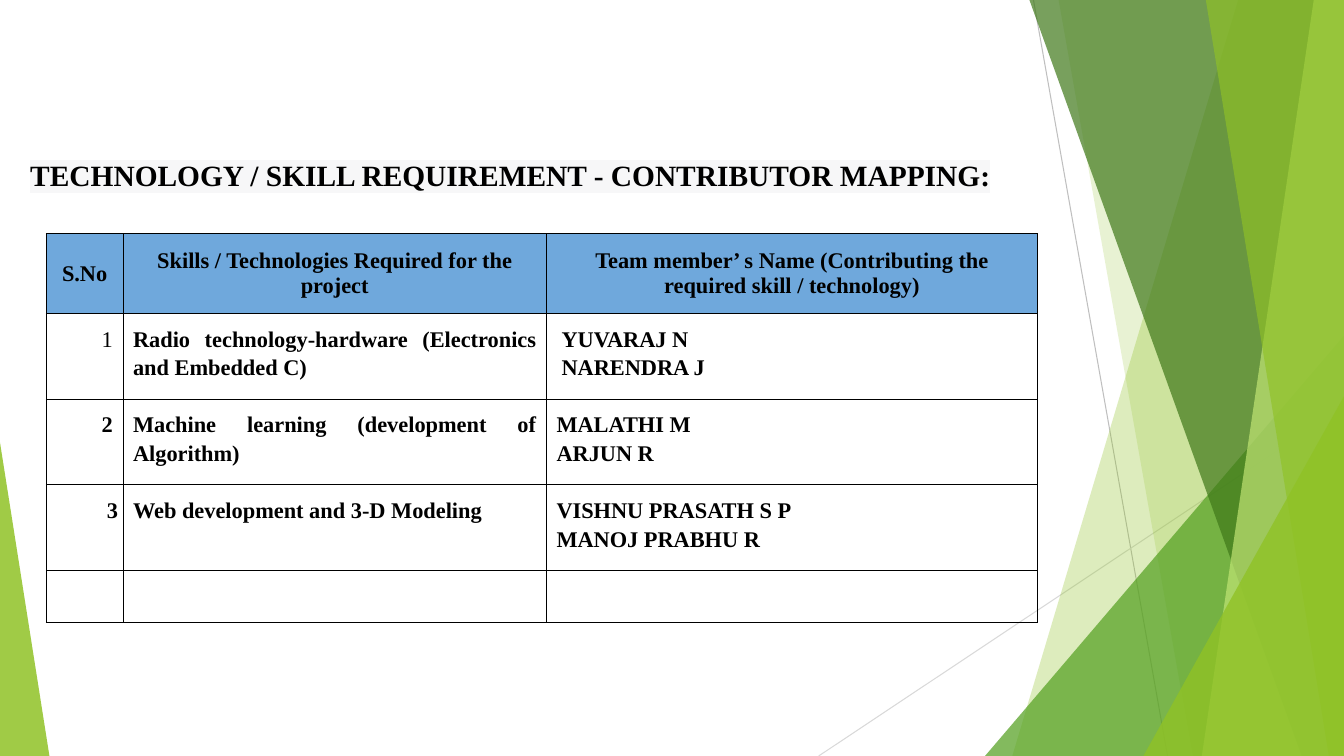
from dataclasses import dataclass
from lxml import etree
from pptx import Presentation
from pptx.dml.color import RGBColor
from pptx.enum.shapes import MSO_CONNECTOR, MSO_SHAPE
from pptx.enum.text import MSO_ANCHOR, PP_ALIGN
from pptx.oxml.ns import qn
from pptx.util import Inches, Pt

LEFT, CENTER, RIGHT, JUSTIFY = PP_ALIGN.LEFT, PP_ALIGN.CENTER, PP_ALIGN.RIGHT, PP_ALIGN.JUSTIFY
TOP, MIDDLE = MSO_ANCHOR.TOP, MSO_ANCHOR.MIDDLE
TRIANGLE = MSO_SHAPE.ISOSCELES_TRIANGLE
STRAIGHT = MSO_CONNECTOR.STRAIGHT


@dataclass(frozen=True)
class Theme:
    font: str = "Times New Roman"
    ink: str = "000000"
    head: str = "6FA8DC"
    mark: str = "F7F7F8"
    lime: str = "90C226"
    pale: str = "C0E474"
    green: str = "54A021"
    dark: str = "3F7819"
    gray: str = "BFBFBF"
    mist: str = "D9D9D9"
    title: float = 21
    body: float = 16
    line: float = 0.75


THEME = Theme()
WIDE, HIGH = 13.33, 7.5

RAYS = [
    ((10.25, 0), (11.58, HIGH), THEME.gray),
    ((WIDE, 4.03), (8.12, HIGH), THEME.mist),
]
BANDS = [
    (12.28, 10.04, THEME.lime, 30),
    (10.5, 11.83, THEME.lime, 20),
    (9.77, 3.33, 3.56, 1, THEME.green, 72),
    (10.21, 12.91, THEME.dark, 70),
    (13.03, 11.92, THEME.pale, 70),
    (11.96, 13.18, THEME.lime, 65),
    (11.34, 3.93, 1.99, 1, THEME.lime, 80),
    (0, 4.39, 0.49, 0, THEME.lime, 85),
]
COLS = [0.76, 4.2, 4.87]
ROWS = [0.79, 0.85, 0.85, 0.85, 0.52]
HEADS = [
    "S.No",
    "Skills / Technologies Required for the project",
    "Team member’ s Name (Contributing the required skill / technology)",
]
SKILLS = [
    ("1", "Radio technology-hardware (Electronics and Embedded C)", ["YUVARAJ N", "NARENDRA J"]),
    ("2", "Machine learning (development of Algorithm)", ["MALATHI M", "ARJUN R"]),
    ("3", "Web development and 3-D Modeling", ["VISHNU PRASATH S P", "MANOJ PRABHU R"]),
]


def color(code):
    return RGBColor.from_string(code)


def style(font, size, bold=True):
    font.name = THEME.font
    font.size = Pt(size)
    font.bold = bold
    font.color.rgb = color(THEME.ink)


def paint(shape, code, alpha):
    shape.shadow.inherit = False
    shape.line.fill.background()
    shape.fill.solid()
    shape.fill.fore_color.rgb = color(code)
    tint = shape.fill._xPr.find(qn("a:solidFill"))[0]
    etree.SubElement(tint, qn("a:alpha"), val=str(alpha * 1000))


def add_ray(slide, start, end, code):
    ray = slide.shapes.add_connector(STRAIGHT, *map(Inches, start + end))
    ray.line.color.rgb = color(code)
    ray.line.width = Pt(THEME.line)
    etree.SubElement(ray._element.spPr, qn("a:effectLst"))


def add_band(slide, top, foot, code, alpha):
    pen = slide.shapes.build_freeform(Inches(top), 0)
    edge = [(WIDE, 0), (WIDE, HIGH), (foot, HIGH)]
    pen.add_line_segments([(Inches(x), Inches(y)) for x, y in edge])
    paint(pen.convert_to_shape(), code, alpha)


def add_wedge(slide, left, top, width, peak, code, alpha):
    box = map(Inches, (left, top, width, HIGH - top))
    wedge = slide.shapes.add_shape(TRIANGLE, *box)
    wedge.adjustments[0] = peak
    paint(wedge, code, alpha)


def set_title(slide, text):
    title = slide.shapes.title
    title.left, title.top, title.width, title.height = map(Inches, (0.17, 0.95, 12.42, 1.36))
    frame = title.text_frame
    frame.margin_left = frame.margin_right = frame.margin_bottom = Inches(0.13)
    frame.margin_top = Inches(0.61)
    frame.vertical_anchor = TOP
    frame.word_wrap = True
    frame.text = text
    para = frame.paragraphs[0]
    para.alignment = LEFT
    run = para.runs[0]
    style(run.font, THEME.title)
    mark = etree.Element(qn("a:highlight"))
    etree.SubElement(mark, qn("a:srgbClr"), val=THEME.mark)
    run._r.rPr.find(qn("a:solidFill")).addnext(mark)


def add_edges(cell):
    props = cell._tc.get_or_add_tcPr()
    for spot, side in enumerate(("lnL", "lnR", "lnT", "lnB")):
        edge = etree.Element(qn("a:" + side), w=str(Pt(THEME.line)))
        fill = etree.SubElement(edge, qn("a:solidFill"))
        etree.SubElement(fill, qn("a:srgbClr"), val=THEME.ink)
        props.insert(spot, edge)


def fill_cell(cell, lines, align, space=1.15, bold=True):
    cell.text = "\n".join(lines)
    for para in cell.text_frame.paragraphs:
        para.alignment = align
        para.line_spacing = space
        style(para.font, THEME.body, bold)


def add_grid(slide):
    box = map(Inches, (0.46, 2.32, sum(COLS), sum(ROWS)))
    grid = slide.shapes.add_table(len(ROWS), len(COLS), *box).table
    grid.first_row = grid.horz_banding = False
    for col, width in zip(grid.columns, COLS):
        col.width = Inches(width)
    for row, height in zip(grid.rows, ROWS):
        row.height = Inches(height)
    for cell in grid.iter_cells():
        cell.margin_left = cell.margin_right = Inches(0.1)
        cell.margin_top = cell.margin_bottom = Inches(0.1)
        cell.fill.background()
        add_edges(cell)
    for col, text in enumerate(HEADS):
        cell = grid.cell(0, col)
        cell.fill.solid()
        cell.fill.fore_color.rgb = color(THEME.head)
        cell.vertical_anchor = MIDDLE
        fill_cell(cell, [text], CENTER, 1)
    for row, (mark, skill, team) in enumerate(SKILLS, 1):
        fill_cell(grid.cell(row, 0), [mark], RIGHT, bold=row > 1)
        fill_cell(grid.cell(row, 1), [skill], JUSTIFY)
        fill_cell(grid.cell(row, 2), team, JUSTIFY)
    grid.cell(1, 2).margin_left = Inches(0.15)
    grid.cell(3, 0).margin_right = Inches(0.05)


def main():
    deck = Presentation()
    deck.slide_width, deck.slide_height = Inches(WIDE), Inches(HIGH)
    slide = deck.slides.add_slide(deck.slide_layouts[5])
    for ray in RAYS:
        add_ray(slide, *ray)
    for band in BANDS:
        draw = add_band if len(band) == 4 else add_wedge
        draw(slide, *band)
    set_title(slide, "TECHNOLOGY / SKILL REQUIREMENT - CONTRIBUTOR MAPPING:")
    add_grid(slide)
    deck.save("out.pptx")


if __name__ == "__main__":
    main()
